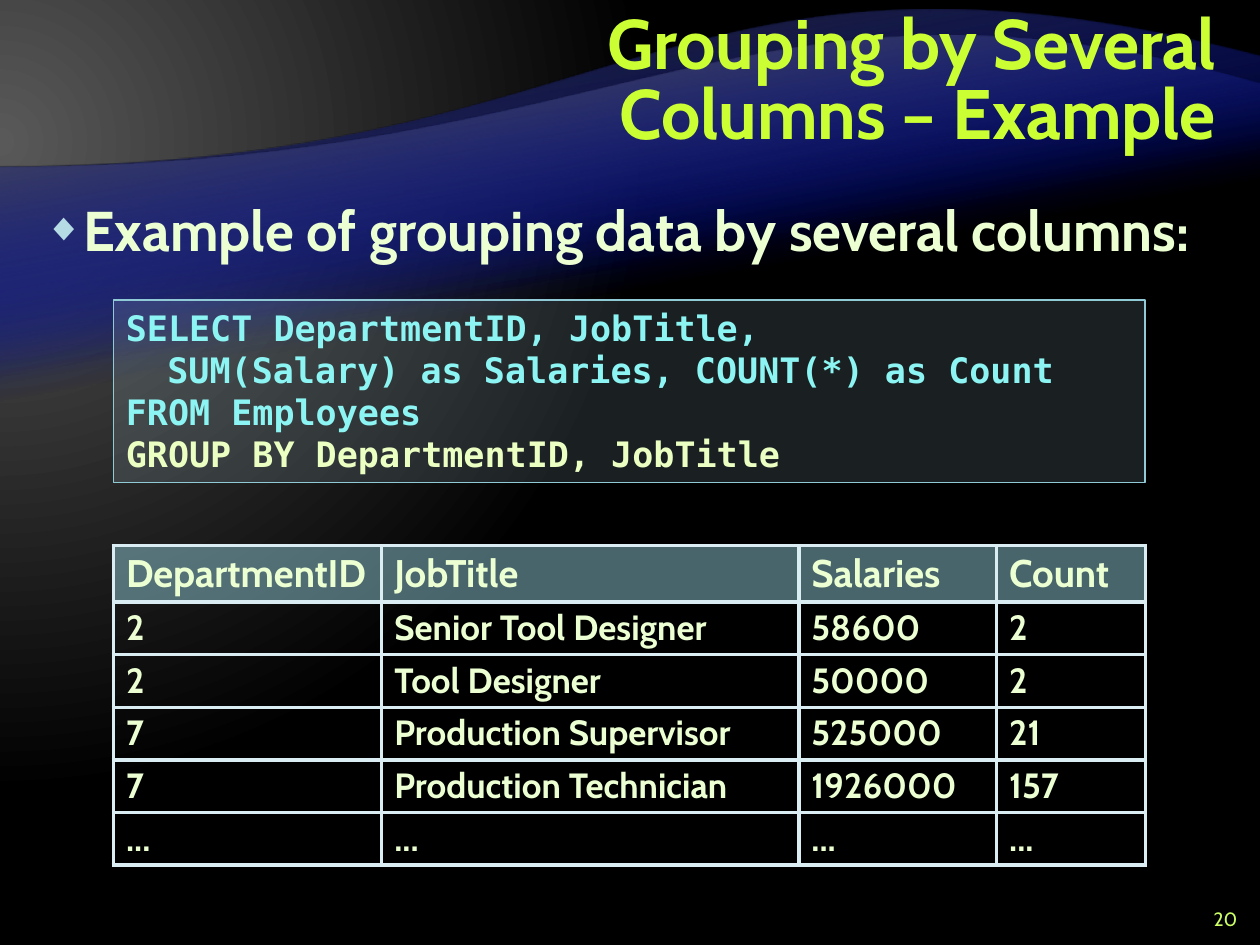
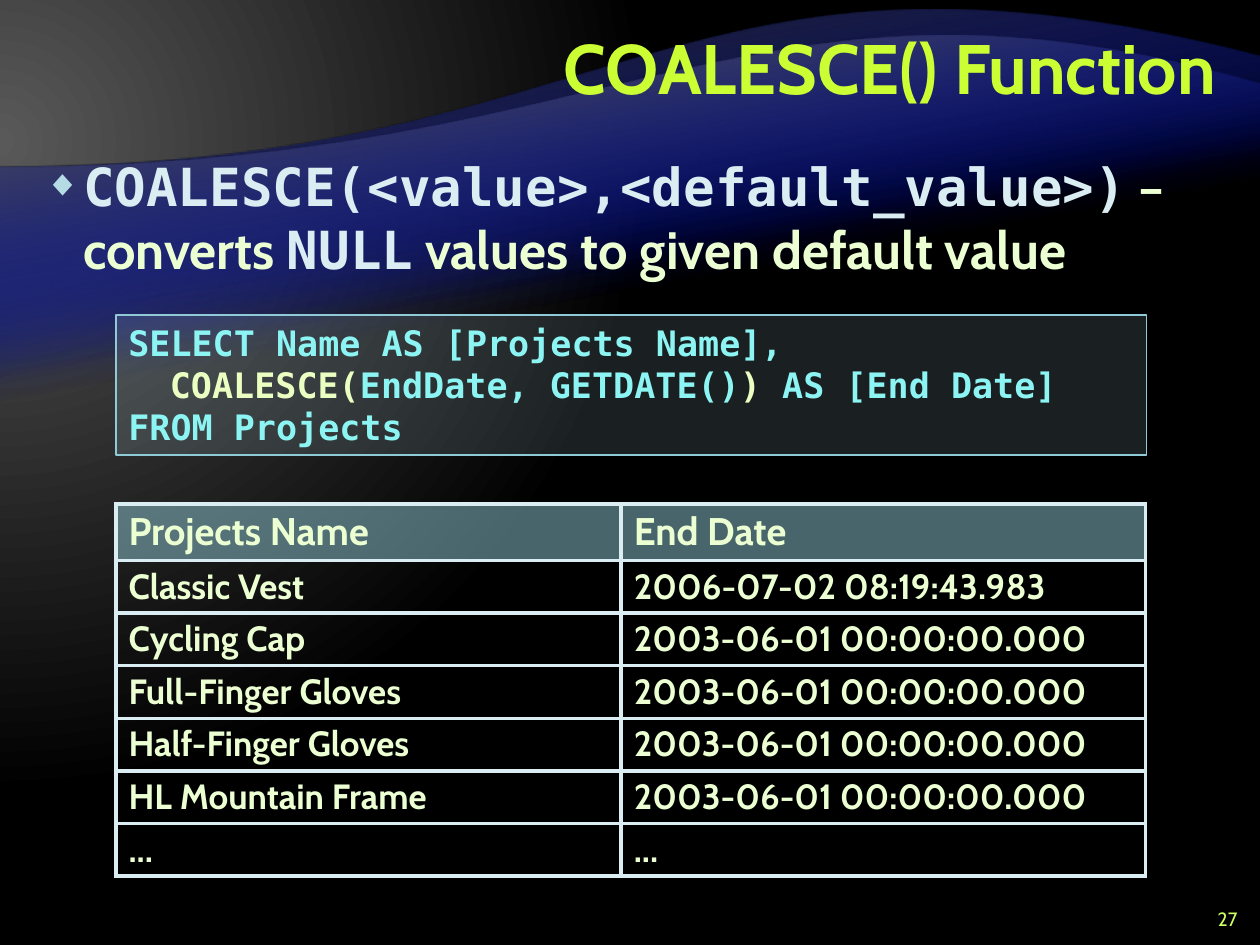
"""Build two SQL lecture slides: grouping by several columns and COALESCE()."""
from lxml.etree import SubElement
from pptx import Presentation
from pptx.dml.color import RGBColor
from pptx.enum.shapes import MSO_SHAPE
from pptx.enum.text import MSO_ANCHOR, MSO_AUTO_SIZE, PP_ALIGN
from pptx.oxml import parse_xml
from pptx.oxml.ns import nsdecls, qn
from pptx.util import Inches, Pt


class Theme:
    text_font, code_font = "Cabin", "DejaVu Sans Mono"
    fill, edge, grid = "B5DBE5", "90CAD7", "DAEDF2"
    glow, night, wave_blue, wave_dark = "595959", "000000", "000D9E", "262626"
    styles = {
        "title": ("CCFF33", dict(name=text_font, size=Pt(40), bold=True)),
        "bullet": ("EBFFD2", dict(name=text_font, size=Pt(32), bold=True)),
        "bullet small": ("EBFFD2", dict(name=text_font, size=Pt(30), bold=True)),
        "bullet code": ("DAEDF2", dict(name=code_font, size=Pt(30), bold=True)),
        "code": ("8CF4F2", dict(name=code_font, size=Pt(20), bold=True)),
        "keyword": ("EBFFC2", dict(name=code_font, size=Pt(20), bold=True)),
        "header": ("EBFFD2", dict(name=text_font, size=Pt(22), bold=True)),
        "cell": ("EBFFD2", dict(name=text_font, size=Pt(20), bold=True)),
        "number": ("CCFF66", dict(name=text_font, size=Pt(11), bold=False)),
    }


def write(paragraph, runs, **layout):
    for text, style in runs:
        run = paragraph.add_run()
        run.text = text
        color, font_values = Theme.styles[style]
        for attribute, value in font_values.items():
            setattr(run.font, attribute, value)
        run.font.color.rgb = RGBColor.from_string(color)
    for attribute, value in layout.items():
        setattr(paragraph, attribute, value)


def gradient(stops, direction):
    marks = "".join(
        f'<a:gs pos="{position * 1000}"><a:srgbClr val="{color}">'
        f'<a:alpha val="{alpha * 1000}"/></a:srgbClr></a:gs>'
        for position, color, alpha in stops)
    return parse_xml(f'<a:gradFill {nsdecls("a")} rotWithShape="1">'
                     f'<a:gsLst>{marks}</a:gsLst>{direction}</a:gradFill>')


LESSONS = [
    dict(
        number="20",
        title="Grouping by Several Columns – Example", title_at=(2.75, 0.16, 7, 1),
        bullet=[("Example of grouping data by several columns:", "bullet")],
        bullet_at=(0.25, 1.5, 9.5, 5.83),
        code=[
            (0, [("SELECT DepartmentID, JobTitle,", "code")]),
            (1, [("SUM(Salary) as Salaries, COUNT(*) as Count", "code")]),
            (0, [("FROM Employees", "code")]),
            (0, [("GROUP BY DepartmentID, JobTitle", "keyword")]),
        ],
        code_at=(0.9, 2.38, 8.19, 1.45),
        rows=[
            ("DepartmentID", "JobTitle", "Salaries", "Count"),
            ("2", "Senior Tool Designer", "58600", "2"),
            ("2", "Tool Designer", "50000", "2"),
            ("7", "Production Supervisor", "525000", "21"),
            ("7", "Production Technician", "1926000", "157"),
            ("...",) * 4,
        ],
        table_at=(0.9, 4.33), columns=(2.13, 3.31, 1.57, 1.18),
    ),
    dict(
        number="27",
        title="COALESCE() Function", title_at=(2, 0.08, 7.75, 1),
        bullet=[("COALESCE(<value>,<default_value>)", "bullet code"),
                (" – converts ", "bullet small"), ("NULL", "bullet code"),
                (" values to given default value", "bullet small")],
        bullet_at=(0.25, 1.17, 9.5, 6.17),
        code=[
            (0, [("SELECT Name AS [Projects Name],", "code")]),
            (1, [("COALESCE(", "keyword"), ("EndDate, GETDATE()", "code"),
                 (")", "keyword"), (" AS [End Date]", "code")]),
            (0, [("FROM Projects", "code")]),
        ],
        code_at=(0.92, 2.5, 8.18, 1.11),
        rows=[
            ("Projects Name", "End Date"),
            ("Classic Vest", "2006-07-02 08:19:43.983"),
            *[(project, "2003-06-01 00:00:00.000") for project in (
                "Cycling Cap", "Full-Finger Gloves", "Half-Finger Gloves",
                "HL Mountain Frame")],
            ("...",) * 2,
        ],
        table_at=(0.92, 4), columns=(4.01, 4.16),
    ),
]

deck = Presentation()
deck.slide_width, deck.slide_height = Inches(10), Inches(7.5)
master = deck.slide_master
translucent = []

for lesson in LESSONS:
    slide = deck.slides.add_slide(deck.slide_layouts[1])
    title, body = slide.shapes.title, slide.placeholders[1]
    for holder, place in ((title, lesson["title_at"]), (body, lesson["bullet_at"])):
        holder.left, holder.top, holder.width, holder.height = map(Inches, place)
        holder.text_frame.auto_size = MSO_AUTO_SIZE.NONE
    title.text_frame.vertical_anchor = MSO_ANCHOR.MIDDLE
    write(title.text_frame.paragraphs[0], [(lesson["title"], "title")],
          alignment=PP_ALIGN.RIGHT, line_spacing=Pt(40))

    bullet = body.text_frame.paragraphs[0]
    write(bullet, lesson["bullet"], space_before=Pt(6), space_after=Pt(6))
    bullet_format = bullet._p.get_or_add_pPr()
    bullet_format.set("marL", str(Inches(0.31)))
    bullet_format.set("indent", str(-Inches(0.31)))
    bullet_color = SubElement(bullet_format, qn("a:buClr"))
    SubElement(bullet_color, qn("a:srgbClr"), val=Theme.fill)
    SubElement(bullet_format, qn("a:buSzPct"), val="70000")
    SubElement(bullet_format, qn("a:buChar"), char="◆")

    page_number = slide.shapes.add_textbox(*map(Inches, (9.42, 7.17, 0.5, 0.25))).text_frame
    page_number.word_wrap = True
    page_number.vertical_anchor = MSO_ANCHOR.MIDDLE
    write(page_number.paragraphs[0], [(lesson["number"], "number")],
          alignment=PP_ALIGN.RIGHT)

    query = slide.shapes.add_shape(MSO_SHAPE.RECTANGLE, *map(Inches, lesson["code_at"]))
    query.shadow.inherit = False
    query.fill.solid()
    query.fill.fore_color.rgb = RGBColor.from_string(Theme.fill)
    query.line.color.rgb = RGBColor.from_string(Theme.edge)
    query.line.width = Pt(1)
    translucent.append((query.element.spPr, 15))
    lines = query.text_frame
    lines.word_wrap = True
    lines.auto_size = MSO_AUTO_SIZE.SHAPE_TO_FIT_TEXT
    lines.vertical_anchor = MSO_ANCHOR.TOP
    for index, (depth, runs) in enumerate(lesson["code"]):
        line = lines.add_paragraph() if index else lines.paragraphs[0]
        write(line, runs, alignment=PP_ALIGN.LEFT)
        line._p.get_or_add_pPr().set("marL", str(Inches(0.33 * depth)))

    rows, columns = lesson["rows"], lesson["columns"]
    result = slide.shapes.add_table(
        len(rows), len(columns), *map(Inches, lesson["table_at"]),
        Inches(sum(columns)), Inches(0.38 * len(rows))).table
    result.first_row = result.horz_banding = False
    for column, width in zip(result.columns, columns):
        column.width = Inches(width)
    for row_index, row in enumerate(rows):
        result.rows[row_index].height = Inches(0.38)
        for column_index, text in enumerate(row):
            cell = result.cell(row_index, column_index)
            write(cell.text_frame.paragraphs[0],
                  [(text, "cell" if row_index else "header")], line_spacing=0.95)
            cell_format = cell._tc.get_or_add_tcPr()
            for side in ("lnL", "lnR", "lnT", "lnB"):
                border = SubElement(cell_format, qn(f"a:{side}"), w=str(Pt(2.25)))
                border_fill = SubElement(border, qn("a:solidFill"))
                SubElement(border_fill, qn("a:srgbClr"), val=Theme.grid)
            if row_index:
                cell.fill.background()
            else:
                cell.fill.solid()
                cell.fill.fore_color.rgb = RGBColor.from_string(Theme.edge)
                translucent.append((cell_format, 50))

for owner, percent in translucent:
    color = owner.find(qn("a:solidFill")).find(qn("a:srgbClr"))
    SubElement(color, qn("a:alpha"), val=str(percent * 1000))

master.background.fill.background()
backdrop = master.element.find(f".//{qn('p:bgPr')}")
backdrop.replace(backdrop.find(qn("a:noFill")), gradient(
    [(0, Theme.glow, 100), (83, Theme.night, 100)],
    '<a:path path="circle"><a:fillToRect l="20000" t="30000" r="135000" b="100000"/></a:path>'))

WAVES = [
    (0.45, 6.53, [(5, 1.33), (5.34, -0.75)], Theme.wave_dark),
    (0.67, 5.57, [(5, 1.33), (5.98, -0.49)], Theme.glow),
]
for layer, (top, bottom, controls, tint) in enumerate(WAVES * 2):
    corners = [(10, bottom), (0, bottom), (0, 1.33), (10, top)]
    turned = [(Inches(10 - x), Inches(top + bottom - y)) for x, y in corners]
    outline = slide.shapes.build_freeform(*turned[0])
    outline.add_line_segments(turned[1:], close=True)
    wave = outline.convert_to_shape()
    wave.rotation = 180
    wave.shadow.inherit = False
    wave.line.fill.background()
    wave.fill.background()
    wave_format = wave.element.spPr
    wave_format.replace(wave_format.find(qn("a:noFill")), gradient(
        [(65, Theme.wave_blue, 0), (100, tint, 100)], '<a:lin ang="4800000" scaled="0"/>'))
    crest = wave_format.findall(f".//{qn('a:lnTo')}")[2]
    crest.tag = qn("a:cubicBezTo")
    for position, (x, y) in enumerate(controls):
        control = SubElement(crest, qn("a:pt"), x=str(Inches(10 - x)), y=str(Inches(bottom - y)))
        crest.insert(position, control)
    wave.element.nvSpPr.cNvPr.set("id", str(100 + layer))
    master.shapes.element.insert(2 + layer, wave.element)

deck.save("out.pptx")
